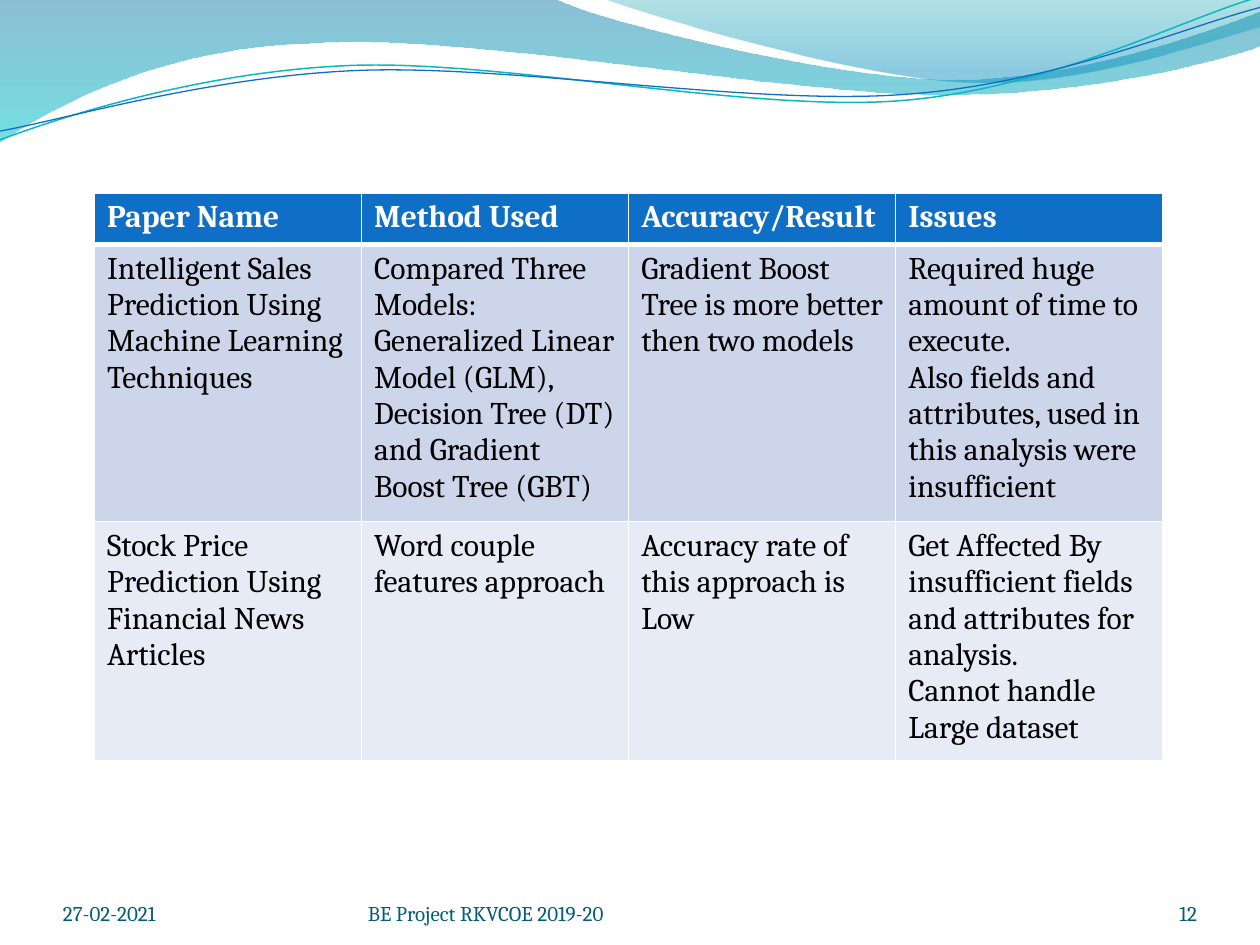
import math

from lxml import etree
from pptx import Presentation
from pptx.dml.color import RGBColor
from pptx.enum import text
from pptx.oxml import ns
from pptx.util import Inches, Pt

THEME = {
    "font": "Cambria", "table_size": 18, "footer_size": 12,
    "header": "0F6FC6", "header_text": "FFFFFF", "body_text": "000000",
    "bands": ("CCD5EA", "E7EBF5"), "border": "FFFFFF", "footer": "045D75",
    "teal_line": "0AB8BF", "blue_line": "0F6FC6",
}

HEADERS = ["Paper Name", "Method Used", "Accuracy/Result", "Issues"]
PAPERS = [
    [["Intelligent Sales Prediction Using Machine Learning Techniques"],
     ["Compared Three Models:",
      "Generalized Linear Model (GLM), Decision Tree (DT) and Gradient Boost Tree (GBT)"],
     ["Gradient Boost Tree is more better then two models"],
     ["Required huge amount of time to execute.",
      "Also fields and attributes, used in this analysis were insufficient"]],
    [["Stock Price Prediction Using Financial News Articles"],
     ["Word couple features approach"],
     ["Accuracy rate of this approach is Low"],
     ["Get Affected By insufficient fields and attributes for analysis.",
      "Cannot handle Large dataset"]],
]
TABLE_LEFT, TABLE_TOP, COLUMN_WIDTH = 0.75, 1.53, 2.12
ROW_HEIGHTS = [0.41, 2.2, 1.9]

# wording, left, width, alignment
FOOTERS = [
    ("27-02-2021", 0.5, 2.33, text.PP_ALIGN.LEFT),
    ("BE Project RKVCOE 2019-20", 2.92, 3.67, text.PP_ALIGN.LEFT),
    ("12", 8.67, 0.83, text.PP_ALIGN.RIGHT),
]

# Outlines: a pair is a straight step, six numbers are a Bezier step.
# Gradient stops: position, colour, opacity in percent.
WAVES = [
    ([(0, 0), (4.4, -0.01), (4.76, 0.17, 6.64, 0.63, 7.58, 0.63),
      (8.53, 0.63, 9.58, 0.26, 10, 0.09), (10.01, 0.36),
      (9.83, 0.44, 8.7, 0.76, 7.46, 0.75), (6.22, 0.75, 3.82, 0.28, 2.57, 0.34),
      (1.29, 0.36, 0.46, 0.83, -0.01, 1.13)],
     [(0, "0074A1", 45), (1, "00C6CF", 55)]),
    ([(4.79, -0.01), (5.09, 0.11, 6.82, 0.62, 7.69, 0.65),
      (8.56, 0.69, 9.61, 0.32, 10, 0.21), (10, 0)],
     [(0, "00A1A9", 30), (0.8, "008BBF", 45)]),
]
# outline, centre, colour, line width
SWIRLS = [
    ([(0, 1.11), (0.48, 0.93, 1.58, 0.57, 2.77, 0.52),
      (3.95, 0.47, 5.93, 0.89, 7.13, 0.8), (8.33, 0.71, 9.38, 0.15, 9.98, -0.02)],
     (4.99, 0.58), THEME["teal_line"], 0.85),
    ([(0, 1.04), (0.47, 0.96, 1.64, 0.61, 2.83, 0.56),
      (4.03, 0.51, 5.97, 0.84, 7.17, 0.75), (8.36, 0.67, 9.41, 0.21, 10, 0.06)],
     (5, 0.59), THEME["blue_line"], 0.75),
]
SWIRL_TILT = -2.7


def rgb(code):
    return RGBColor.from_string(code)


def pairs(step):
    return list(zip(step[::2], step[1::2]))


def turn(step, centre, degrees):
    """Turn the points of a step clockwise about a centre."""
    cos, sin = math.cos(math.radians(degrees)), math.sin(math.radians(degrees))
    turned = []
    for x, y in pairs(step):
        dx, dy = x - centre[0], y - centre[1]
        turned += [centre[0] + dx * cos - dy * sin, centre[1] + dx * sin + dy * cos]
    return tuple(turned)


def add_outline(slide, outline, close):
    """Lay out all points as straight steps, then join each Bezier triple."""
    points = [(Inches(x), Inches(y)) for step in outline for x, y in pairs(step)]
    builder = slide.shapes.build_freeform(*points[0])
    builder.add_line_segments(points[1:], close=close)
    shape = builder.convert_to_shape()
    shape.shadow.inherit = False
    segments = iter(list(shape._element.iter(ns.qn("a:lnTo"))))
    for step in outline[1:]:
        first = next(segments)
        if len(step) == 6:
            first.tag = ns.qn("a:cubicBezTo")
            for _ in range(2):
                follower = next(segments)
                first.append(follower[0])
                follower.getparent().remove(follower)
    return shape


def add_wave(slide, outline, stops):
    wave = add_outline(slide, outline, True)
    wave.line.fill.background()
    wave.fill.gradient()
    wave.fill.gradient_angle = 270
    for stop, (position, colour, _) in zip(wave.fill.gradient_stops, stops):
        stop.position = position
        stop.color.rgb = rgb(colour)
    colours = wave._element.spPr.iter(ns.qn("a:srgbClr"))
    for colour, (_, _, opacity) in zip(colours, stops):
        etree.SubElement(colour, ns.qn("a:alpha"), val=str(opacity * 1000))


def add_swirl(slide, outline, centre, colour, width):
    level = [turn(step, centre, -SWIRL_TILT) for step in outline]
    swirl = add_outline(slide, level, False)
    swirl.rotation = SWIRL_TILT
    swirl.fill.background()
    swirl.line.color.rgb = rgb(colour)
    swirl.line.width = Pt(width)


def write(frame, paragraphs, size, colour, bold=False, align=text.PP_ALIGN.LEFT):
    for i, wording in enumerate(paragraphs):
        paragraph = frame.add_paragraph() if i else frame.paragraphs[0]
        paragraph.alignment = align
        run = paragraph.add_run()
        run.text = wording
        run.font.name = THEME["font"]
        run.font.size = Pt(size)
        run.font.bold = bold
        run.font.color.rgb = rgb(colour)


def set_borders(cell, widths):
    """Draw the left, right, top and bottom borders, widths in points."""
    properties = cell._tc.get_or_add_tcPr()
    for side, width in zip("LRTB", widths):
        line = etree.SubElement(properties, ns.qn(f"a:ln{side}"), w=str(Pt(width)))
        fill = etree.SubElement(line, ns.qn("a:solidFill"))
        etree.SubElement(fill, ns.qn("a:srgbClr"), val=THEME["border"])


def add_papers_table(slide):
    rows = [[[header] for header in HEADERS]] + PAPERS
    table = slide.shapes.add_table(
        len(rows), len(HEADERS), Inches(TABLE_LEFT), Inches(TABLE_TOP),
        Inches(COLUMN_WIDTH * len(HEADERS)), Inches(sum(ROW_HEIGHTS))).table
    for column in table.columns:
        column.width = Inches(COLUMN_WIDTH)
    for r, (row, height) in enumerate(zip(rows, ROW_HEIGHTS)):
        table.rows[r].height = Inches(height)
        is_header = r == 0
        band = THEME["header"] if is_header else THEME["bands"][(r - 1) % 2]
        ink = THEME["header_text"] if is_header else THEME["body_text"]
        for c, paragraphs in enumerate(row):
            cell = table.cell(r, c)
            set_borders(cell, (1, 1, 3 if r == 1 else 1, 3 if is_header else 1))
            cell.fill.solid()
            cell.fill.fore_color.rgb = rgb(band)
            write(cell.text_frame, paragraphs, THEME["table_size"], ink, is_header)


def add_footer(slide, wording, left, width, align):
    frame = slide.shapes.add_textbox(
        Inches(left), Inches(6.95), Inches(width), Inches(0.4)).text_frame
    frame.word_wrap = True
    frame.vertical_anchor = text.MSO_ANCHOR.BOTTOM
    frame.margin_left = frame.margin_right = frame.margin_top = frame.margin_bottom = 0
    write(frame, [wording], THEME["footer_size"], THEME["footer"], align=align)


def main():
    deck = Presentation()
    deck.slide_width, deck.slide_height = Inches(10), Inches(7.5)
    slide = deck.slides.add_slide(deck.slide_layouts.get_by_name("Blank"))
    for wave in WAVES:
        add_wave(slide, *wave)
    for swirl in SWIRLS:
        add_swirl(slide, *swirl)
    for footer in FOOTERS:
        add_footer(slide, *footer)
    add_papers_table(slide)
    deck.save("out.pptx")


if __name__ == "__main__":
    main()
